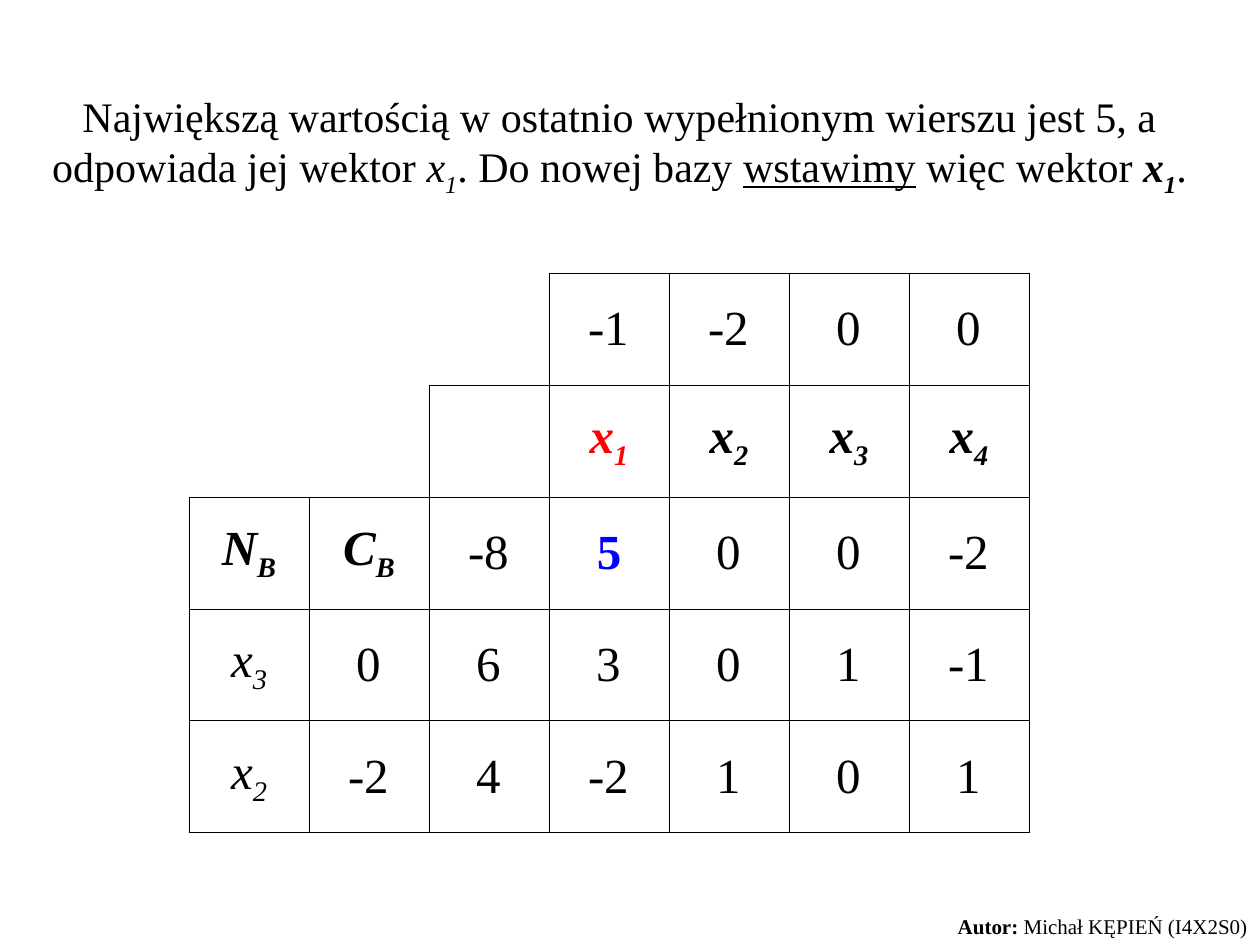
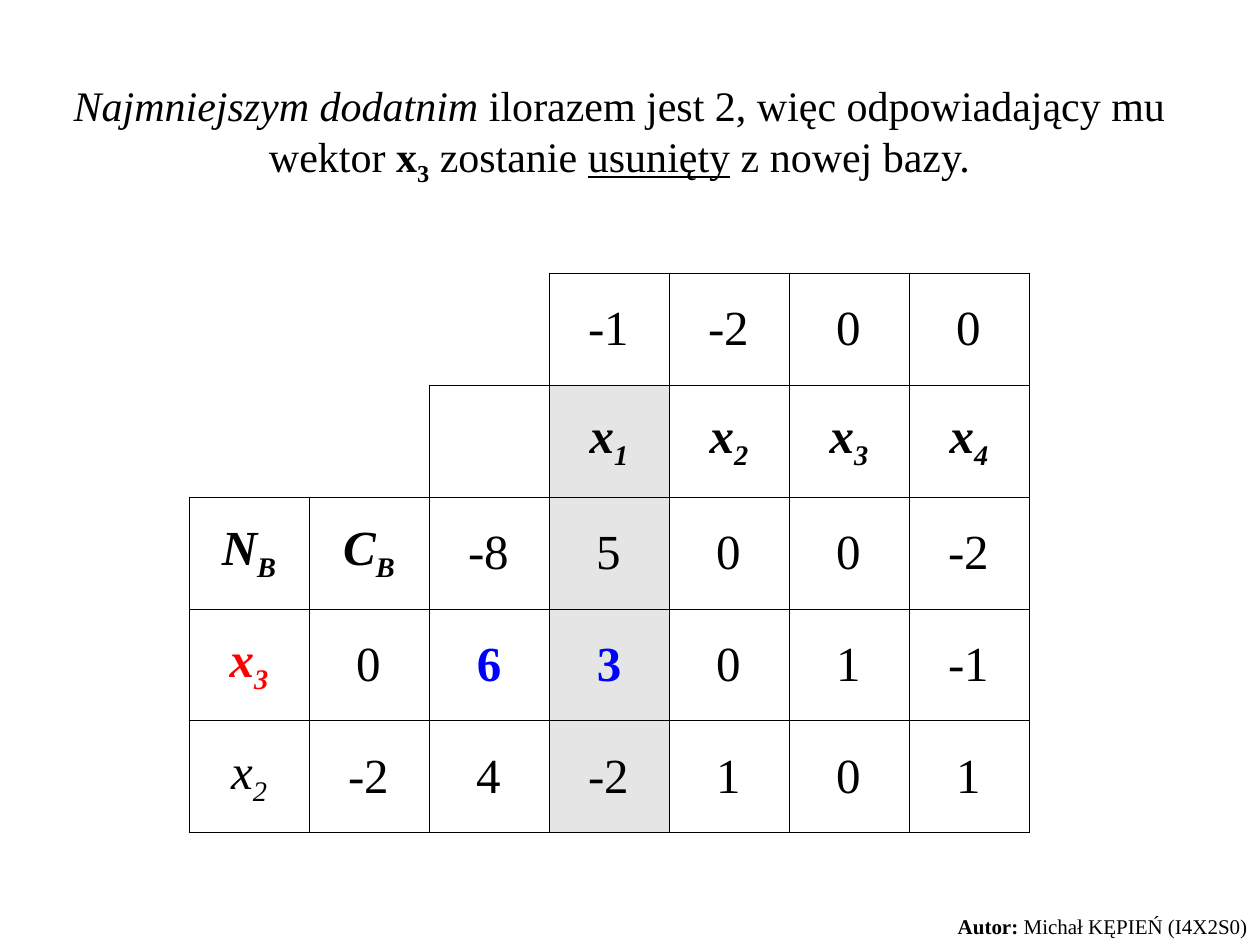
import dataclasses
import typing

import pptx
import pptx.dml.color
import pptx.enum.text
import pptx.oxml
import pptx.oxml.ns
import pptx.util

Pt = pptx.util.Pt
ALIGN = pptx.enum.text.PP_ALIGN

FONT = "Times New Roman"
BLACK, RED, BLUE, GREY = "000000", "FF0000", "0000FF", "E5E5E5"

TABLE_LEFT, TABLE_TOP, TABLE_WIDTH, TABLE_HEIGHT = 108, 156, 480, 320
BORDER_WIDTH = 0.45
SIMPLEX = [
    ["", "", "", "-1", "-2", "0", "0"],
    ["", "", "", "x_1", "x_2", "x_3", "x_4"],
    ["N_B", "C_B", "-8", "5", "0", "0", "-2"],
    ["x_3", "0", "6", "3", "0", "1", "-1"],
    ["x_2", "-2", "4", "-2", "1", "0", "1"],
]
ROWS, COLS = len(SIMPLEX), len(SIMPLEX[0])
FIRST_FRAMED_COL = [3, 2, 0, 0, 0]
LAST_HEADER_ROW = 2
SIDES = {"lnL": (0, -1), "lnR": (0, 1), "lnT": (-1, 0), "lnB": (1, 0)}


class Run(typing.NamedTuple):
    text: str
    bold: bool = False
    italic: bool = False
    underline: bool = False
    sub: bool = False
    color: str = BLACK


@dataclasses.dataclass
class TextBox:
    left: float
    top: float
    width: float
    height: float
    size: float
    space_before: float
    align: ALIGN
    runs: list[Run]


@dataclasses.dataclass
class Step:
    """One simplex step: its sentence and the marked cells, keyed by (row, column)."""
    title_top: float
    title: list[Run]
    marks: dict[tuple[int, int], str]
    shaded: set[tuple[int, int]]


def variable(name: str, index: str, bold: bool = False, italic: bool = False,
             color: str = BLACK) -> list[Run]:
    """Runs for a symbol with a subscript."""
    return [Run(name, bold, italic, color=color),
            Run(index, bold, italic, sub=True, color=color)]


STEPS = [
    Step(
        title_top=48,
        title=[
            Run("Największą wartością w ostatnio wypełnionym wierszu jest 5, "
                "a odpowiada jej wektor "),
            *variable("x", "1", italic=True),
            Run(". Do nowej bazy "),
            Run("wstawimy", underline=True),
            Run(" więc wektor "),
            *variable("x", "1", bold=True, italic=True),
            Run("."),
        ],
        marks={(1, 3): RED, (2, 3): BLUE},
        shaded=set(),
    ),
    Step(
        title_top=42,
        title=[
            Run("Najmniejszym dodatnim ", italic=True),
            Run("ilorazem jest 2, więc odpowiadający mu wektor "),
            *variable("x", "3", bold=True),
            Run(" zostanie "),
            Run("usunięty", underline=True),
            Run(" z nowej bazy."),
        ],
        marks={(3, 0): RED, (3, 2): BLUE, (3, 3): BLUE},
        shaded={(row, 3) for row in range(1, ROWS)},
    ),
]
FOOTER = TextBox(528, 518.4, 192, 21.6, 12, 7.5, ALIGN.RIGHT,
                 [Run("Autor:", bold=True), Run(" Michał KĘPIEŃ (I4X2S0)")])


def rgb(color: str) -> pptx.dml.color.RGBColor:
    return pptx.dml.color.RGBColor.from_string(color)


def write_runs(tf, runs: list[Run], size: float, space_before: float, align: ALIGN) -> None:
    p = tf.paragraphs[0]
    p.alignment = align
    p.space_before = Pt(space_before)
    for run in runs:
        r = p.add_run()
        r.text = run.text
        font = r.font
        font.name, font.size = FONT, Pt(size)
        font.bold, font.italic, font.underline = run.bold, run.italic, run.underline
        font.color.rgb = rgb(run.color)
        if run.sub:
            r._r.get_or_add_rPr().set("baseline", "-25000")


def add_text(s, box: TextBox) -> None:
    sp = s.shapes.add_textbox(Pt(box.left), Pt(box.top), Pt(box.width), Pt(box.height))
    tf = sp.text_frame
    tf.word_wrap = True
    tf.auto_size = pptx.enum.text.MSO_AUTO_SIZE.SHAPE_TO_FIT_TEXT
    write_runs(tf, box.runs, box.size, box.space_before, box.align)


def is_framed(row: int, col: int) -> bool:
    return 0 <= row < ROWS and FIRST_FRAMED_COL[row] <= col < COLS


def set_borders(cell, row: int, col: int) -> None:
    """Draw each side that touches a framed cell and clear the others."""
    tc_pr = cell._tc.get_or_add_tcPr()
    for side, (down, right) in SIDES.items():
        if is_framed(row, col) or is_framed(row + down, col + right):
            fill = f'<a:solidFill><a:srgbClr val="{BLACK}"/></a:solidFill>'
        else:
            fill = "<a:noFill/>"
        tc_pr.append(pptx.oxml.parse_xml(
            f'<a:{side} {pptx.oxml.ns.nsdecls("a")} w="{Pt(BORDER_WIDTH)}">{fill}</a:{side}>'))


def cell_runs(text: str, row: int, mark: str | None) -> list[Run]:
    name, _, index = text.partition("_")
    color = mark or BLACK
    if index:
        bold = row <= LAST_HEADER_ROW or mark is not None
        return variable(name, index, bold, italic=True, color=color)
    return [Run(name, bold=mark is not None, color=color)]


def add_simplex_table(s, step: Step) -> None:
    table = s.shapes.add_table(ROWS, COLS, Pt(TABLE_LEFT), Pt(TABLE_TOP),
                               Pt(TABLE_WIDTH), Pt(TABLE_HEIGHT)).table
    table.first_row = table.horz_banding = False
    for row, texts in enumerate(SIMPLEX):
        for col, text in enumerate(texts):
            cell = table.cell(row, col)
            cell.vertical_anchor = pptx.enum.text.MSO_ANCHOR.MIDDLE
            set_borders(cell, row, col)
            if (row, col) in step.shaded:
                cell.fill.solid()
                cell.fill.fore_color.rgb = rgb(GREY)
            else:
                cell.fill.background()
            if text:
                runs = cell_runs(text, row, step.marks.get((row, col)))
                write_runs(cell.text_frame, runs, 28, 7, ALIGN.CENTER)


def main() -> None:
    prs = pptx.Presentation()
    prs.slide_width, prs.slide_height = Pt(720), Pt(540)
    for step in STEPS:
        s = prs.slides.add_slide(prs.slide_layouts[6])
        add_text(s, TextBox(18, step.title_top, 672, 69, 24, 15, ALIGN.CENTER, step.title))
        add_simplex_table(s, step)
        add_text(s, FOOTER)
    prs.save("out.pptx")


if __name__ == "__main__":
    main()
